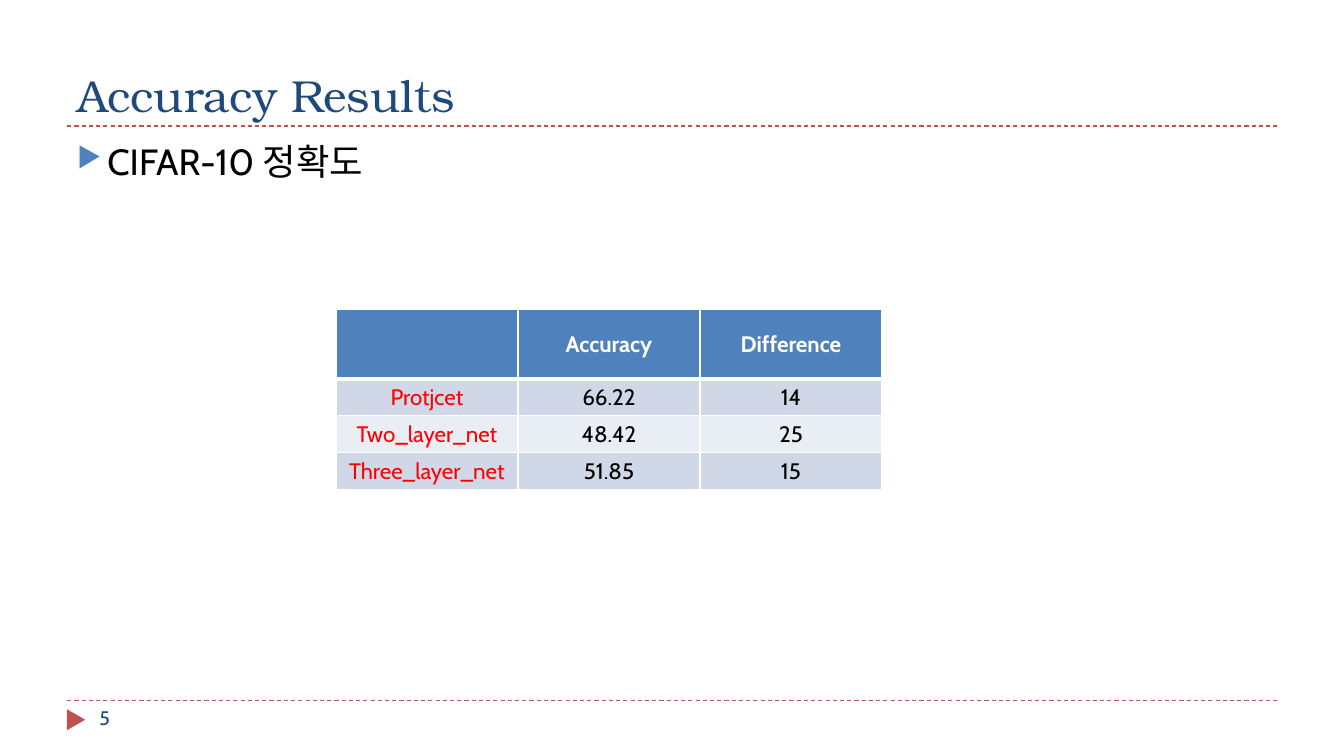
"""Build the accuracy results slide with its table of network scores."""
from lxml import etree
from pptx import Presentation
from pptx.dml.color import RGBColor
from pptx.enum.dml import MSO_LINE
from pptx.enum.shapes import MSO_CONNECTOR, MSO_SHAPE
from pptx.enum.text import MSO_ANCHOR, PP_ALIGN
from pptx.oxml.ns import qn
from pptx.util import Pt

NAVY = RGBColor(0x1F, 0x49, 0x7D)
BLUE = RGBColor(0x4F, 0x81, 0xBD)
BRICK = RGBColor(0xC0, 0x50, 0x4D)
RED = RGBColor(0xFF, 0x00, 0x00)
BLACK = RGBColor(0x00, 0x00, 0x00)
WHITE = RGBColor(0xFF, 0xFF, 0xFF)
BAND_DARK = RGBColor(0xD0, 0xD8, 0xE8)
BAND_LIGHT = RGBColor(0xE9, 0xED, 0xF4)


def add_text(text, left, top, width, height, font_name, size, color, anchor):
    """Add a wrapped text box and return its paragraph."""
    box = slide.shapes.add_textbox(Pt(left), Pt(top), Pt(width), Pt(height))
    box.text_frame.word_wrap = True
    box.text_frame.vertical_anchor = anchor
    paragraph = box.text_frame.paragraphs[0]
    paragraph.text = text
    font = paragraph.runs[0].font
    font.name, font.size, font.color.rgb = font_name, Pt(size), color
    return paragraph


def add_border(cell, side, width):
    """Draw a white border on one side of a table cell."""
    border = etree.SubElement(cell._tc.get_or_add_tcPr(), qn(f"a:ln{side}"), w=str(Pt(width)))
    fill = etree.SubElement(border, qn("a:solidFill"))
    etree.SubElement(fill, qn("a:srgbClr"), val=str(WHITE))


presentation = Presentation()
presentation.slide_width = Pt(960)
presentation.slide_height = Pt(540)
slide = presentation.slides.add_slide(presentation.slide_layouts[6])

for rule_top in (500.4, 90):
    rule = slide.shapes.add_connector(
        MSO_CONNECTOR.STRAIGHT, Pt(48), Pt(rule_top), Pt(912), Pt(rule_top)
    )
    rule.line.color.rgb = BRICK
    rule.line.width = Pt(0.75)
    rule.line.dash_style = MSO_LINE.DASH
    etree.SubElement(rule._element.spPr, qn("a:effectLst"))

marker = slide.shapes.add_shape(
    MSO_SHAPE.ISOSCELES_TRIANGLE, Pt(46.8), Pt(507.6), Pt(15), Pt(13)
)
marker.rotation = 90
marker.shadow.inherit = False
marker.fill.solid()
marker.fill.fore_color.rgb = BRICK
marker.line.fill.background()

add_text("Accuracy Results", 48, 12, 864, 78, "TeX Gyre Bonum", 32, NAVY, MSO_ANCHOR.BOTTOM)
bullet = add_text("CIFAR-10 정확도", 48, 96, 864, 389, "Cabin", 26, BLACK, MSO_ANCHOR.TOP)
properties = bullet._p.get_or_add_pPr()
properties.set("marL", str(Pt(21.6)))
properties.set("indent", str(-Pt(21.6)))
bullet_color = etree.SubElement(properties, qn("a:buClr"))
etree.SubElement(bullet_color, qn("a:srgbClr"), val=str(BLUE))
etree.SubElement(properties, qn("a:buSzPct"), val="76000")
etree.SubElement(properties, qn("a:buChar"), char="▶")
add_text("5", 64, 500.4, 208, 29, "Cabin", 14, NAVY, MSO_ANCHOR.TOP)

ROWS = [
    ("", "Accuracy", "Difference"),
    ("Protjcet", "66.22", "14"),
    ("Two_layer_net", "48.42", "25"),
    ("Three_layer_net", "51.85", "15"),
]
table = slide.shapes.add_table(4, 3, Pt(240), Pt(221), Pt(390), Pt(129)).table
for column in table.columns:
    column.width = Pt(130)
for row_index, values in enumerate(ROWS):
    is_header = row_index == 0
    table.rows[row_index].height = Pt(49.5 if is_header else 26.5)
    band = BLUE if is_header else BAND_DARK if row_index % 2 else BAND_LIGHT
    for column_index, value in enumerate(values):
        cell = table.cell(row_index, column_index)
        cell.vertical_anchor = MSO_ANCHOR.MIDDLE
        for side in "LRTB":
            thick = (row_index, side) in ((0, "B"), (1, "T"))
            add_border(cell, side, 3 if thick else 1)
        cell.fill.solid()
        cell.fill.fore_color.rgb = band
        paragraph = cell.text_frame.paragraphs[0]
        paragraph.text = value
        paragraph.alignment = PP_ALIGN.CENTER
        font = paragraph.font
        if value:
            font = paragraph.runs[0].font
        font.name, font.size, font.bold = "Cabin", Pt(16), is_header
        font.color.rgb = WHITE if is_header else BLACK if column_index else RED

presentation.save("out.pptx")
